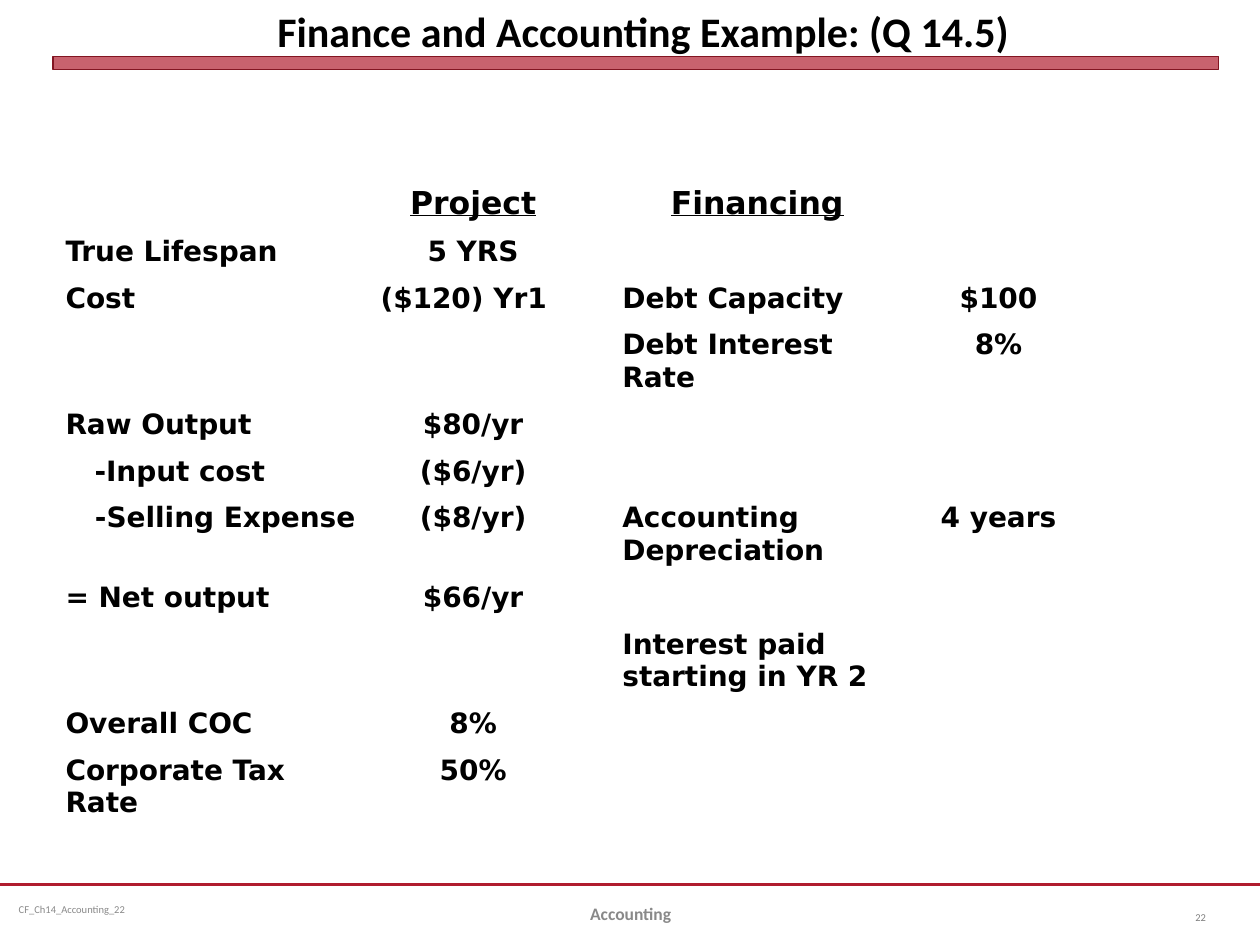
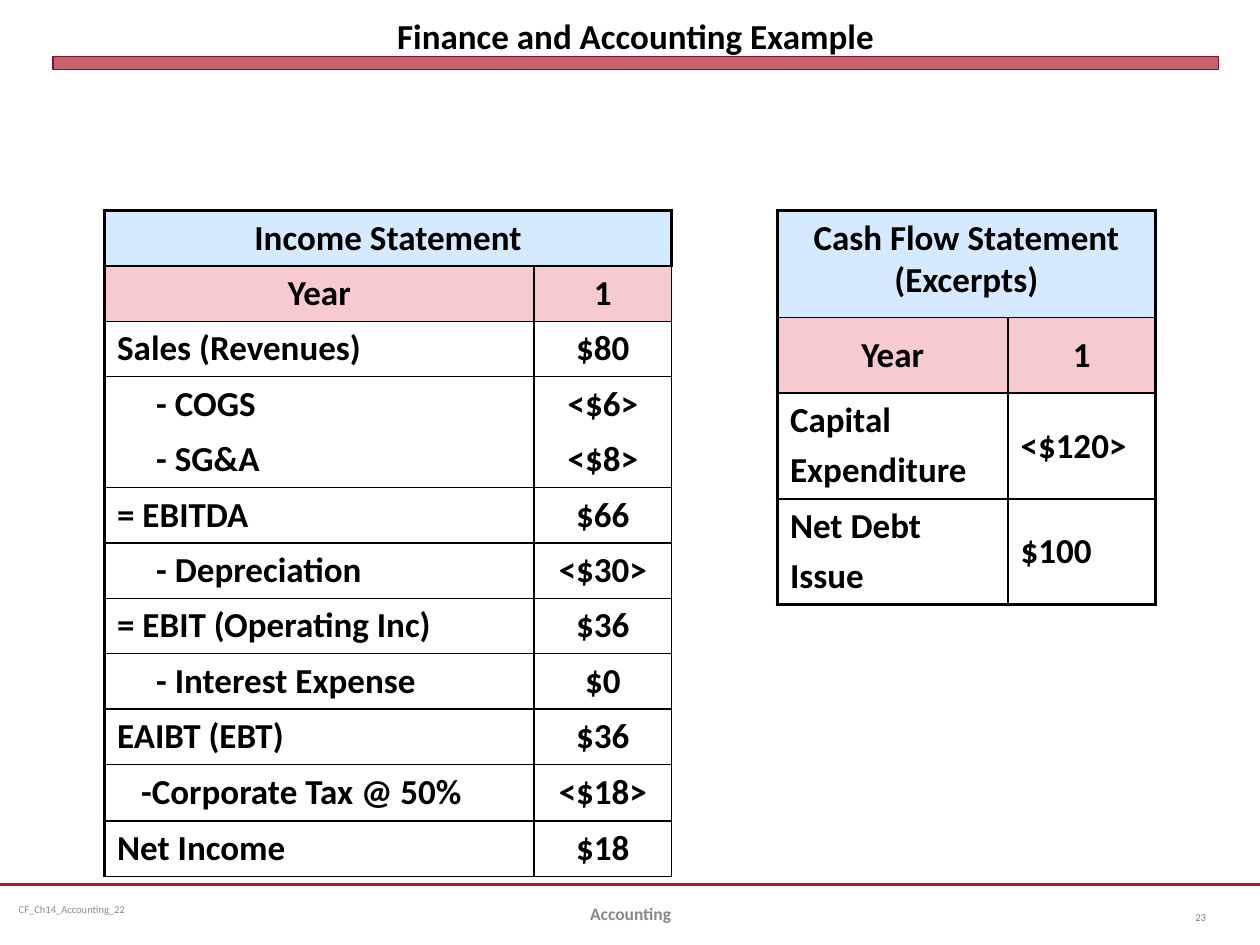
from dataclasses import dataclass

from pptx import Presentation
from pptx.dml.color import RGBColor
from pptx.enum.shapes import MSO_CONNECTOR, MSO_SHAPE
from pptx.enum.text import MSO_ANCHOR, MSO_AUTO_SIZE, PP_ALIGN
from pptx.oxml.ns import qn
from pptx.util import Inches, Pt
from lxml.etree import SubElement

COLORS = {
    "red": "B01C2E", "dark_red": "821522", "grey": "898989", "page": "808080",
    "black": "000000", "blue": "D6EAFF", "pink": "F7CAD0",
}
LEFT, CENTER, RIGHT = PP_ALIGN.LEFT, PP_ALIGN.CENTER, PP_ALIGN.RIGHT
TOP, MIDDLE, BOTTOM = MSO_ANCHOR.TOP, MSO_ANCHOR.MIDDLE, MSO_ANCHOR.BOTTOM
NO_STYLE = "{2D5ABB26-0587-4C30-8999-92F81FD0307C}"
THICK, THIN = 2.25, 1


def rgb(name):
    return RGBColor.from_string(COLORS[name])


@dataclass
class Cell:
    text: str = ""
    align: PP_ALIGN = LEFT
    indent: float = 0
    size: float = 0
    underline: bool = False
    fill: str = ""
    anchor: MSO_ANCHOR = TOP


class Deck:
    font = "Calibri"

    def __init__(self):
        self.prs = Presentation()
        self.prs.slide_width, self.prs.slide_height = Inches(10), Inches(7.5)
        self.s = None

    def new_slide(self, number):
        self.s = self.prs.slides.add_slide(self.prs.slide_layouts[5])
        self.rule(0, 7.02, 10, 7.02)
        self.band(0.42, 0.45, 9.25, 0.1)
        self.label("CF_Ch14_Accounting_22", (0.05, 7.02, 2.58, 0.4), 6, "grey")
        self.label("Accounting", (3.42, 7.05, 3.17, 0.4), 10, "grey", CENTER, True)
        self.label(str(number), (9.17, 7.08, 0.5, 0.4), 6, "page", RIGHT)

    def rule(self, x1, y1, x2, y2):
        line = self.s.shapes.add_connector(
            MSO_CONNECTOR.STRAIGHT, Inches(x1), Inches(y1), Inches(x2), Inches(y2))
        line.line.color.rgb = rgb("red")
        line.line.width = Pt(1.25)
        SubElement(line._element.spPr, qn("a:effectLst"))

    def band(self, *box):
        sp = self.s.shapes.add_shape(MSO_SHAPE.RECTANGLE, *map(Inches, box))
        sp.shadow.inherit = False
        sp.fill.solid()
        sp.fill.fore_color.rgb = rgb("red")
        color = sp._element.spPr.find(qn("a:solidFill"))[0]
        SubElement(color, qn("a:alpha")).set("val", "69000")
        sp.line.color.rgb = rgb("dark_red")
        sp.line.width = Pt(0)

    def add_text(self, p, text, size, color="black", align=LEFT, bold=True,
                 underline=False, font=None):
        p.alignment = align
        r = p.add_run()
        r.text = text
        f = r.font
        f.name, f.size, f.bold = font or self.font, Pt(size), bold
        f.color.rgb = rgb(color)
        if underline:
            f.underline = True

    def label(self, text, box, size, color, align=LEFT, bold=False):
        tf = self.s.shapes.add_textbox(*map(Inches, box)).text_frame
        tf.word_wrap = True
        tf.vertical_anchor = MIDDLE
        self.add_text(tf.paragraphs[0], text, size, color, align, bold)

    def title(self, text, box, size, anchor):
        sp = self.s.shapes.title
        sp.left, sp.top, sp.width, sp.height = map(Inches, box)
        tf = sp.text_frame
        tf.auto_size = MSO_AUTO_SIZE.NONE
        tf.vertical_anchor = anchor
        tf.margin_left = tf.margin_right = tf.margin_top = tf.margin_bottom = 0
        self.add_text(tf.paragraphs[0], text, size, align=CENTER)

    def border(self, cell, side, width):
        ln = SubElement(cell._tc.get_or_add_tcPr(), qn("a:ln" + side))
        ln.set("w", str(Pt(width)))
        fill = SubElement(ln, qn("a:solidFill"))
        SubElement(fill, qn("a:srgbClr")).set("val", COLORS["black"])

    def fill_cell(self, cell, item, size, font):
        cell.vertical_anchor = item.anchor
        if item.fill:
            cell.fill.solid()
            cell.fill.fore_color.rgb = rgb(item.fill)
        else:
            cell.fill.background()
        tf = cell.text_frame
        if not item.text:
            end = SubElement(tf.paragraphs[0]._p, qn("a:endParaRPr"))
            end.set("sz", str(size * 100))
            return
        for i, text in enumerate(item.text.split("\n")):
            p = tf.add_paragraph() if i else tf.paragraphs[0]
            if i:
                p.space_before = Pt(size * 0.2)
            if item.indent:
                p._p.get_or_add_pPr().set("marL", str(Inches(item.indent)))
            self.add_text(p, text, item.size or size, align=item.align,
                          underline=item.underline, font=font)

    def table(self, at, cols, heights, rows, size, font=None, merge_top=False,
              rules=None):
        frame = self.s.shapes.add_table(
            len(rows), len(cols), *map(Inches, (*at, sum(cols), sum(heights))))
        t = frame.table
        t._tbl.tblPr.find(qn("a:tableStyleId")).text = NO_STYLE
        t.first_row = t.horz_banding = False
        for col, width in zip(t.columns, cols):
            col.width = Inches(width)
        for row, height in zip(t.rows, heights):
            row.height = Inches(height)
        if merge_top:
            t.cell(0, 0).merge(t.cell(0, len(cols) - 1))
        for i, row in enumerate(rows):
            for j, item in enumerate(row):
                cell = t.cell(i, j)
                if rules:
                    self.borders(cell, i, j, len(rows), len(cols), rules, merge_top)
                self.fill_cell(cell, item, size, font)

    def borders(self, cell, i, j, n_rows, n_cols, rules, merge_top):
        breaks, right, bottom = rules
        merged = merge_top and i == 0
        if not (merged and j):
            self.border(cell, "L", THIN if j else THICK)
        if merged or j == n_cols - 1:
            self.border(cell, "R", THICK if merged else right)
        else:
            self.border(cell, "R", THIN)
        if i in breaks:
            self.border(cell, "T", THIN if i else THICK)
        if i + 1 in breaks:
            self.border(cell, "B", THIN)
        elif i == n_rows - 1:
            self.border(cell, "B", bottom)


def project_rows():
    rows = [
        ("", "Project", "Financing", ""),
        ("True Lifespan", "5 YRS", "", ""),
        ("Cost", "($120) Yr1", "Debt Capacity", "$100"),
        ("", "", "Debt Interest Rate", "8%"),
        ("Raw Output", "$80/yr", "", ""),
        ("-Input cost", "($6/yr)", "", ""),
        ("-Selling Expense", "($8/yr)", "Accounting Depreciation", "4 years"),
        ("= Net output", "$66/yr", "", ""),
        ("", "", "Interest paid starting in YR 2", ""),
        ("Overall COC", "8%", "", ""),
        ("Corporate Tax Rate", "50%", "", ""),
        ("", "", "", ""),
    ]
    grid = [[Cell(a), Cell(b, CENTER), Cell(), Cell(c), Cell(d, CENTER)]
            for a, b, c, d in rows]
    for j in (1, 3):
        head = grid[0][j]
        head.align, head.size, head.underline = CENTER, 18, True
    grid[2][1].align = LEFT
    grid[5][0].indent = 0.23
    grid[6][0].align = RIGHT
    return grid


def statement_head(title, anchor):
    return [[Cell(title, CENTER, fill="blue"), Cell(fill="blue")],
            [Cell(text, CENTER, fill="pink", anchor=anchor) for text in ("Year", "1")]]


def income_rows():
    rows = [
        ("Sales (Revenues)", "$80", 0),
        ("- COGS", "<$6>", 0.31),
        ("- SG&A", "<$8>", 0.31),
        ("= EBITDA", "$66", 0),
        ("- Depreciation", "<$30>", 0.31),
        ("= EBIT (Operating Inc)", "$36", 0),
        ("- Interest Expense", "$0", 0.31),
        ("EAIBT (EBT)", "$36", 0),
        ("-Corporate Tax @ 50%", "<$18>", 0.19),
        ("Net Income", "$18", 0),
    ]
    return statement_head("Income Statement", TOP) + [
        [Cell(name, indent=indent), Cell(value, CENTER)] for name, value, indent in rows]


def cash_rows():
    rows = [("Capital\nExpenditure", "<$120>"), ("Net Debt\nIssue", "$100")]
    return statement_head("Cash Flow Statement (Excerpts)", MIDDLE) + [
        [Cell(name), Cell(value, anchor=MIDDLE)] for name, value in rows]


def main():
    deck = Deck()

    deck.new_slide(22)
    deck.title("Finance and Accounting Example: (Q 14.5)",
               (0.44, -0.15, 9.33, 0.78), 24, MIDDLE)
    tall = (3, 6, 8, 10)
    heights = [0.4] + [0.63 if i in tall else 0.37 for i in range(1, 12)]
    deck.table((0.42, 1.42), (2.5, 1.67, 0.25, 2.34, 1.49), heights,
               project_rows(), 16, "DejaVu Sans")

    deck.new_slide(23)
    deck.title("Finance and Accounting Example", (0.42, 0.05, 9.25, 0.4), 20, BOTTOM)
    deck.table((0.83, 1.67), (3.41, 1.09), [0.44] * 10 + [0.45, 0.44],
               income_rows(), 20, merge_top=True,
               rules=((0, 1, 2, 5, 7, 9, 11), THIN, THIN))
    deck.table((6.17, 1.67), (1.83, 1.17), [0.85, 0.6, 0.84, 0.84],
               cash_rows(), 20, merge_top=True,
               rules=(range(4), THICK, THICK))

    deck.prs.save("out.pptx")


if __name__ == "__main__":
    main()
